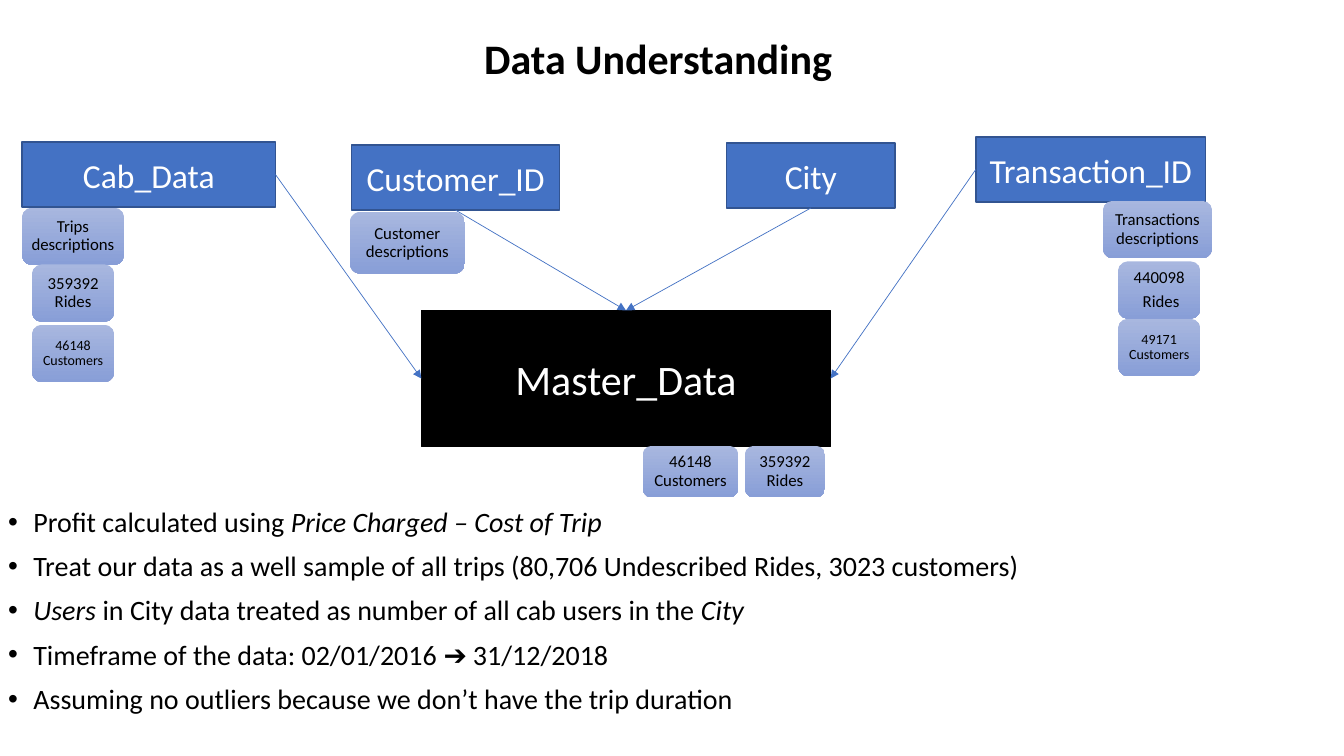
from dataclasses import dataclass

from lxml import etree
from pptx import Presentation
from pptx import util as u
from pptx.dml.color import RGBColor
from pptx.enum import shapes, text
from pptx.oxml import ns

FONT = "Calibri"
BLUE, NAVY, BLACK, WHITE = "4472C4", "325491", "000000", "FFFFFF"
CHIP_TOP, CHIP_BOTTOM = "A8B7DF", "889ED7"
TOP, LEFT, BOTTOM, RIGHT = range(4)


@dataclass
class Table:
    name: str
    left: float
    top: float
    width: float
    height: float = 46.4
    fill: str = BLUE
    line: str = NAVY
    size: float = 24


@dataclass
class Chip:
    lines: tuple[str, ...]
    left: float
    top: float
    width: float = 58.6
    height: float = 41
    size: float = 12


@dataclass
class Join:
    source: str
    source_side: int
    master_side: int


TABLES = [
    Table("Cab_Data", 15.8, 101.5, 181),
    Table("Transaction_ID", 697, 97.9, 164.2),
    Table("Customer_ID", 251.3, 103.7, 148.3),
    Table("City", 519.1, 102.2, 120.2),
    Table("Master_Data", 301, 221.8, 292.3, 97.2, BLACK, BLACK, 30),
]
JOINS = [
    Join("Transaction_ID", LEFT, RIGHT),
    Join("City", BOTTOM, TOP),
    Join("Customer_ID", BOTTOM, TOP),
    Join("Cab_Data", RIGHT, LEFT),
]
CHIPS = [
    Chip(("Trips descriptions",), 15.8, 148.3, 72.7),
    Chip(("359392 Rides",), 22.9, 188.9),
    Chip(("46148 Customers",), 22.9, 232, size=10),
    Chip(("Transactions descriptions",), 787.9, 143.5, 77.8),
    Chip(("440098", " Rides"), 798.7, 186.7),
    Chip(("49171 Customers",), 798.7, 227.7, size=10),
    Chip(("Customer descriptions",), 250, 151.4, 82, 44),
    Chip(("359392 Rides",), 532.2, 318.5, 57, 36.7),
    Chip(("46148 Customers",), 459.2, 318.5, 68, 36.7),
]
# Each bullet is a list of (words, italic) pieces.
NOTES = [
    [("Profit calculated using ", False), ("Price Charged – Cost of Trip", True)],
    [("Treat our data as a well sample of all trips "
      "(80,706 Undescribed Rides, 3023 customers)", False)],
    [("Users ", True),
     ("in City data treated as number of all cab users in the ", False),
     ("City", True)],
    [("Timeframe of the data: 02/01/2016 ➔ 31/12/2018", False)],
    [("Assuming no outliers because we don’t have the trip duration", False)],
]


def rgb(value: str) -> RGBColor:
    return RGBColor.from_string(value)


def box(part) -> tuple:
    return tuple(u.Pt(n) for n in (part.left, part.top, part.width, part.height))


def style(paragraph, size: float, color: str, bold: bool = False) -> None:
    font = paragraph.font
    font.name, font.size, font.bold = FONT, u.Pt(size), bold
    font.color.rgb = rgb(color)


def add_title(slide, words: str) -> None:
    frame = slide.shapes.add_textbox(
        u.Pt(56.2), u.Pt(12.2), u.Pt(828), u.Pt(62)).text_frame
    frame.word_wrap = True
    frame.vertical_anchor = text.MSO_ANCHOR.MIDDLE
    heading = frame.paragraphs[0]
    heading.text = words
    heading.alignment = text.PP_ALIGN.CENTER
    heading.line_spacing = 0.9
    style(heading, 30, BLACK, bold=True)


def add_notes(slide) -> None:
    frame = slide.shapes.add_textbox(
        u.Pt(0), u.Pt(350), u.Pt(893), u.Pt(161)).text_frame
    frame.word_wrap = True
    frame.vertical_anchor = text.MSO_ANCHOR.BOTTOM
    frame.margin_left = u.Pt(5.8)
    frame.margin_top = frame.margin_bottom = 0
    for number, pieces in enumerate(NOTES):
        note = frame.add_paragraph() if number else frame.paragraphs[0]
        for words, italic in pieces:
            run = note.add_run()
            run.text, run.font.italic = words, italic
        note.line_spacing, note.space_before = 0.9, u.Pt(10)
        style(note, 20, BLACK)
        props = note._p.get_or_add_pPr()
        props.set("marL", str(u.Pt(18)))
        props.set("indent", str(-u.Pt(18)))
        bullet_font = etree.Element(ns.qn("a:buFont"), typeface="Arial")
        bullet = etree.Element(ns.qn("a:buChar"), char="•")
        props.find(ns.qn("a:defRPr")).addprevious(bullet_font)
        bullet_font.addnext(bullet)


def add_table_box(slide, table: Table):
    shape = slide.shapes.add_shape(shapes.MSO_SHAPE.RECTANGLE, *box(table))
    shape.shadow.inherit = False
    shape.fill.solid()
    shape.fill.fore_color.rgb = rgb(table.fill)
    shape.line.color.rgb = rgb(table.line)
    shape.line.width = u.Pt(1)
    shape.text_frame.vertical_anchor = text.MSO_ANCHOR.MIDDLE
    label = shape.text_frame.paragraphs[0]
    label.text = table.name
    label.alignment = text.PP_ALIGN.CENTER
    style(label, table.size, WHITE)
    return shape


def add_arrow(slide, source, source_side: int, master, master_side: int) -> None:
    arrow = slide.shapes.add_connector(shapes.MSO_CONNECTOR.STRAIGHT, 0, 0, 0, 0)
    arrow.begin_connect(source, source_side)
    arrow.end_connect(master, master_side)
    arrow.line.color.rgb = rgb(BLUE)
    arrow.line.width = u.Pt(0.5)
    etree.SubElement(arrow.line._get_or_add_ln(), ns.qn("a:tailEnd"), type="triangle")
    etree.SubElement(arrow._element.spPr, ns.qn("a:effectLst"))


def add_chip(slide, chip: Chip) -> None:
    shape = slide.shapes.add_shape(shapes.MSO_SHAPE.ROUNDED_RECTANGLE, *box(chip))
    shape.shadow.inherit = False
    shape.line.fill.background()
    shape.fill.gradient()
    shape.fill.gradient_angle = 270
    for stop, color in zip(shape.fill.gradient_stops, (CHIP_TOP, CHIP_BOTTOM)):
        stop.color.rgb = rgb(color)
    frame = shape.text_frame
    frame.word_wrap = True
    frame.vertical_anchor = text.MSO_ANCHOR.MIDDLE
    frame.margin_left = frame.margin_right = u.Pt(3)
    frame.margin_top = frame.margin_bottom = u.Pt(2)
    frame.text = "\n".join(chip.lines)
    for line in frame.paragraphs:
        line.alignment = text.PP_ALIGN.CENTER
        line.line_spacing, line.space_after = 0.9, u.Pt(0.35 * chip.size)
        style(line, chip.size, BLACK)


def main() -> None:
    deck = Presentation()
    deck.slide_width, deck.slide_height = u.Pt(960), u.Pt(540)
    slide = deck.slides.add_slide(deck.slide_layouts[6])
    add_title(slide, "Data Understanding")
    add_notes(slide)
    tables = {table.name: add_table_box(slide, table) for table in TABLES}
    for join in JOINS:
        add_arrow(slide, tables[join.source], join.source_side,
                  tables["Master_Data"], join.master_side)
    for chip in CHIPS:
        add_chip(slide, chip)
    deck.save("out.pptx")


if __name__ == "__main__":
    main()
